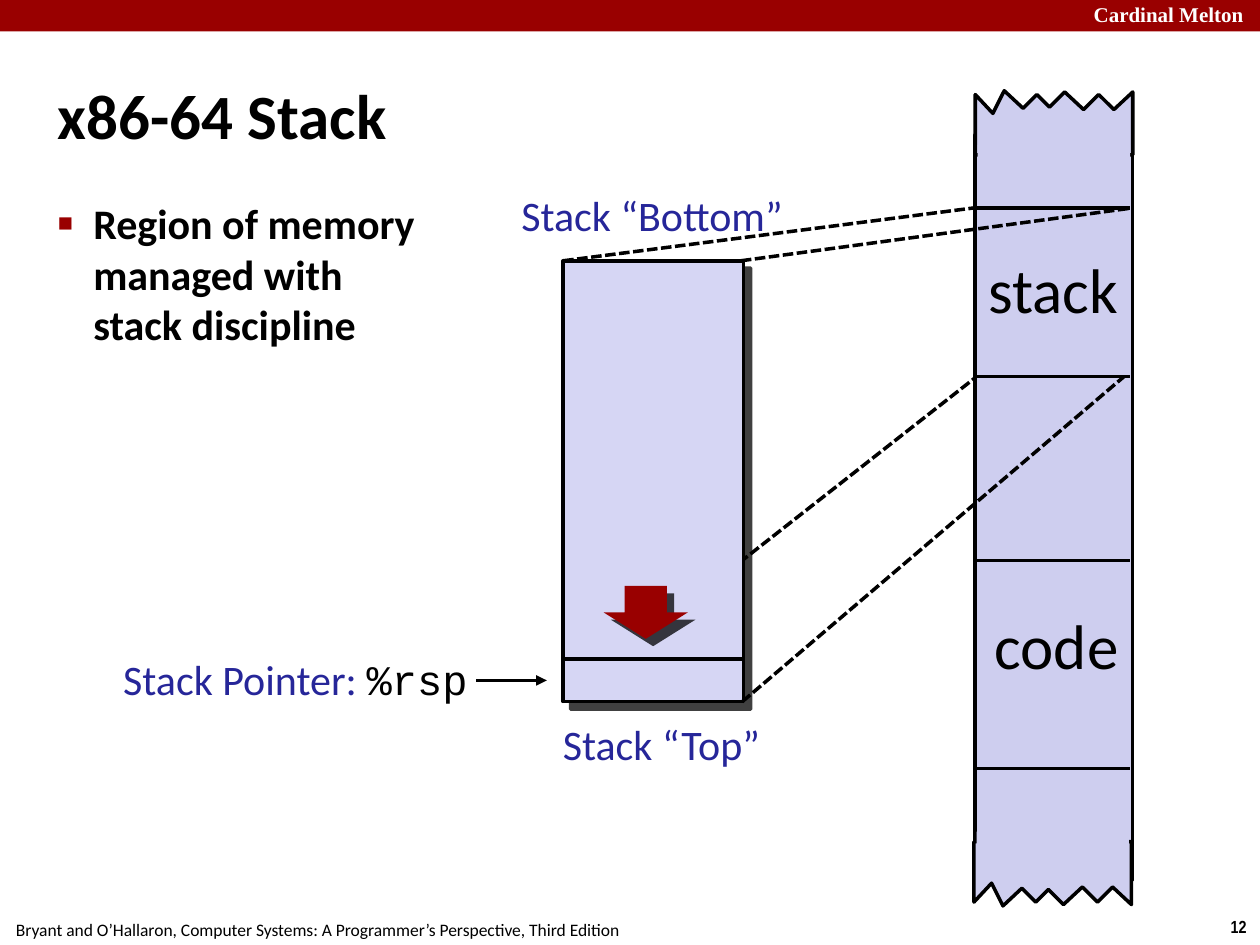
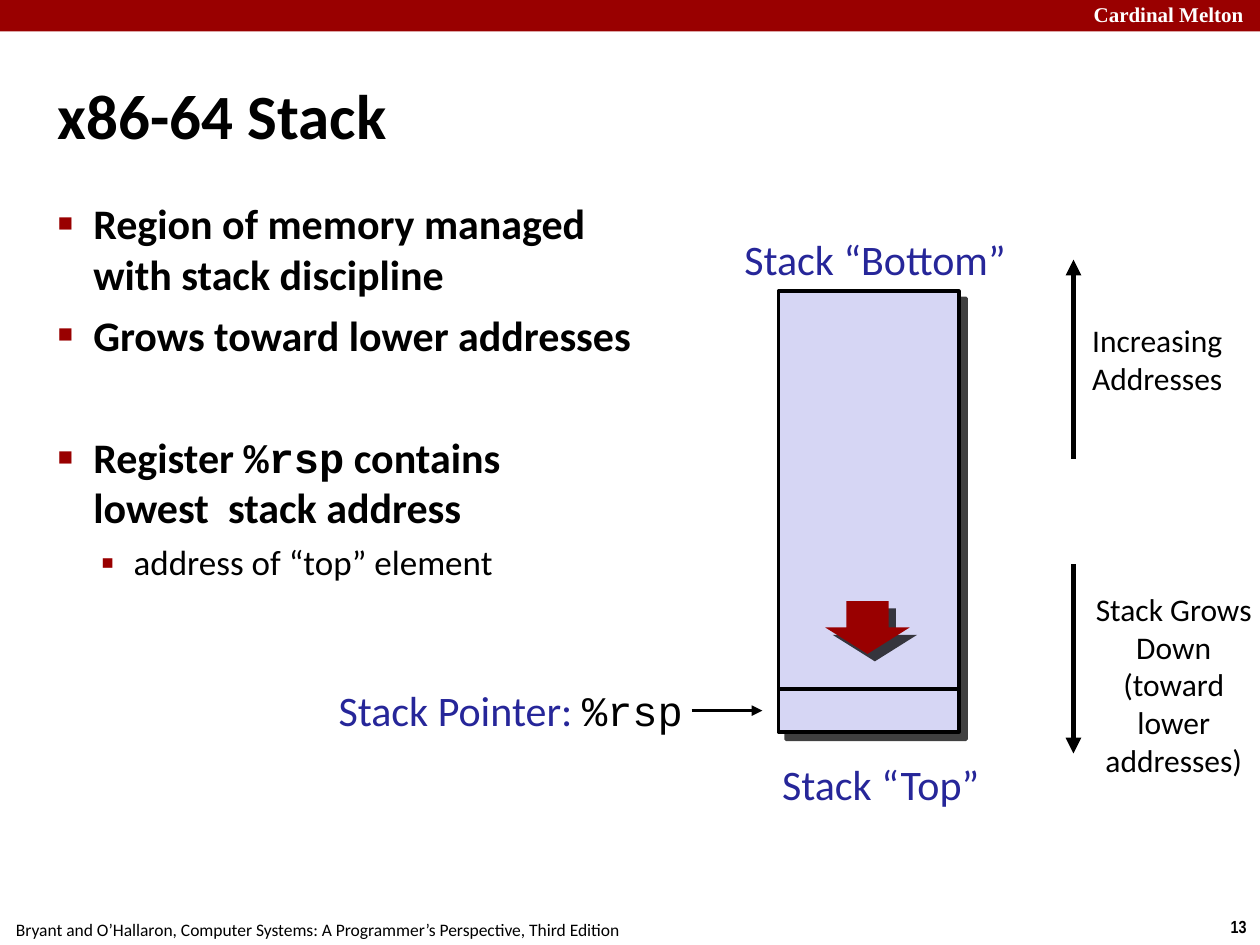
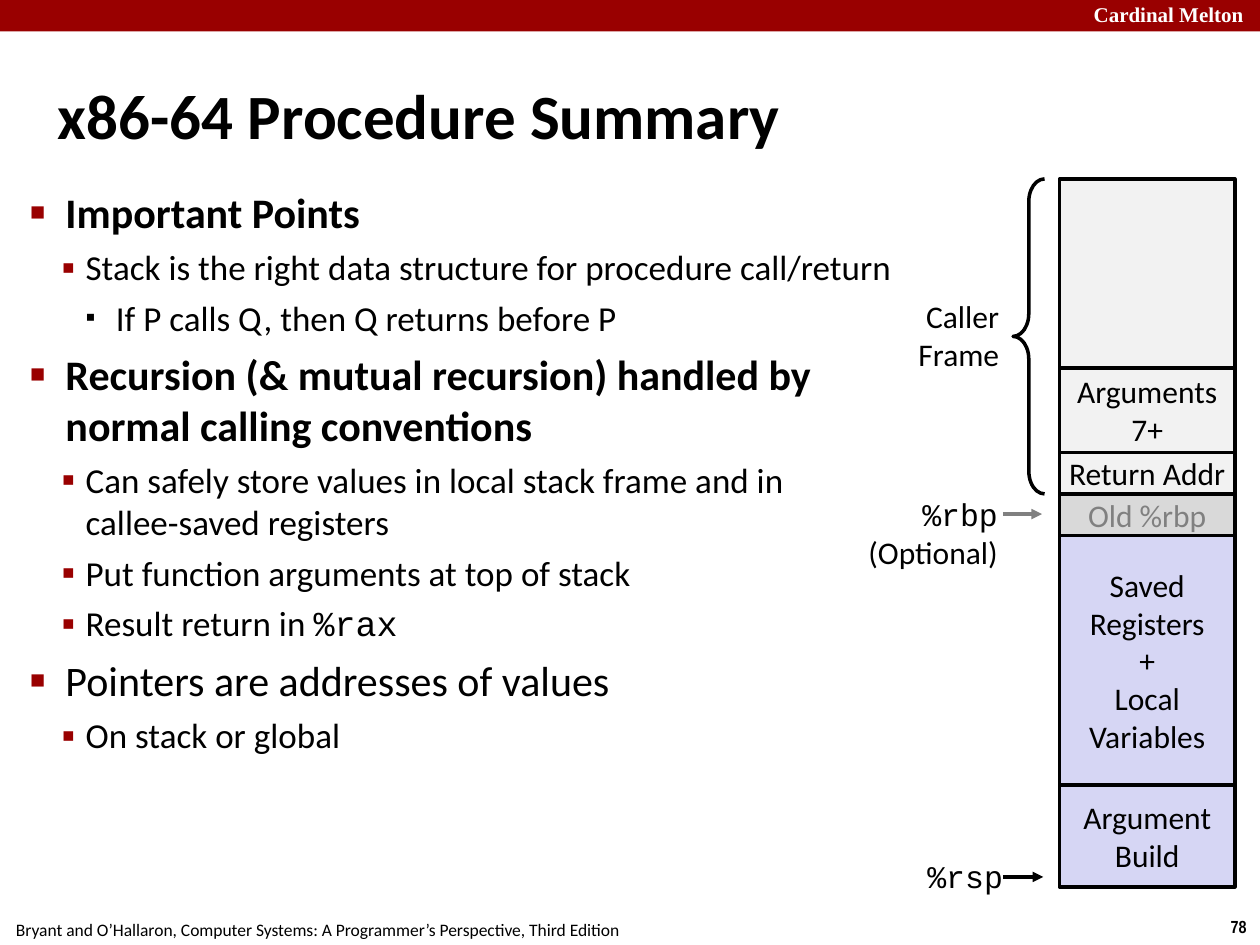
from lxml.etree import SubElement
from pptx import Presentation
from pptx.dml.color import RGBColor
from pptx.enum.dml import MSO_LINE
from pptx.enum.shapes import MSO_CONNECTOR, MSO_SHAPE
from pptx.enum.text import MSO_ANCHOR, MSO_AUTO_SIZE, PP_ALIGN
from pptx.oxml.ns import qn
from pptx.util import Inches, Pt

# Colours
BLACK = RGBColor(0x00, 0x00, 0x00)
WHITE = RGBColor(0xFF, 0xFF, 0xFF)
CRIMSON = RGBColor(0x99, 0x00, 0x00)
NAVY = RGBColor(0x26, 0x26, 0x99)
LAVENDER = RGBColor(0xD6, 0xD6, 0xF4)
MEMORY = RGBColor(0xCE, 0xCE, 0xEF)
PALE_GREY = RGBColor(0xF2, 0xF2, 0xF2)
LIGHT_GREY = RGBColor(0xD9, 0xD9, 0xD9)
GREY = RGBColor(0x80, 0x80, 0x80)

# Text styles
CODE = {"name": "Courier New"}
LABEL = {"size": Pt(24), "color": NAVY}
SMALL = {"size": Pt(18)}
HUGE = {"size": Pt(36)}

# Bullet levels: character, colour, size in percent, space before, text format
LEVELS = [
    ("■", CRIMSON, 60, 6, {"size": Pt(24), "bold": True}),
    ("▪", CRIMSON, 110, 5, {"size": Pt(20)}),
    ("▪", BLACK, 80, 5, {"size": Pt(20)}),
]
WIDE_INDENTS = [(0.28, -0.28), (0.6, -0.26)]
TIGHT_INDENTS = [(0.28, -0.28), (0.44, -0.19), (0.68, -0.24)]

BANNER = "Cardinal Melton"
FOOTER = "Bryant and O’Hallaron, Computer Systems: A Programmer’s Perspective, Third Edition"

# Torn edge of the memory column: distance from its left side and from the seam
TEETH = [(1.25, 0), (1.25, 0.5), (1.1, 0.36), (0.98, 0.48), (0.86, 0.36), (0.71, 0.5),
         (0.59, 0.38), (0.49, 0.48), (0.38, 0.37), (0.23, 0.51), (0.14, 0.33), (0, 0.48)]


def assign(target, values):
    for name, value in values.items():
        setattr(target, name, value)


def write(para, spans, style):
    """Fill a paragraph with a string or (text, format) pairs; a newline breaks the line."""
    for text, changes in [(spans, {})] if isinstance(spans, str) else spans:
        values = {"name": "Calibri", "color": BLACK, **style, **changes}
        color = values.pop("color")
        for index, line in enumerate(text.split("\n")):
            if index:
                para.add_line_break()
            span = para.add_run()
            span.text = line
            assign(span.font, values)
            span.font.color.rgb = color


def prepare(frame, anchor=MSO_ANCHOR.TOP, inset=0.04):
    margins = {f"margin_{side}": Inches(inset) for side in ("left", "top", "right", "bottom")}
    assign(frame, {"word_wrap": True, "auto_size": MSO_AUTO_SIZE.NONE,
                   "vertical_anchor": anchor, **margins})


def fill_lines(frame, lines, style, align):
    for index, spans in enumerate(lines):
        para = frame.add_paragraph() if index else frame.paragraphs[0]
        para.alignment = align
        write(para, spans, style)


def add_text(page, at, lines, style, align=PP_ALIGN.CENTER):
    box = page.shapes.add_textbox(*map(Inches, at))
    prepare(box.text_frame)
    fill_lines(box.text_frame, lines, style, align)


def paint(shape, fill, outline=None, shadow=False):
    shape.shadow.inherit = False
    shape.fill.solid()
    shape.fill.fore_color.rgb = fill
    if outline is None:
        shape.line.fill.background()
    else:
        shape.line.color.rgb = outline
        shape.line.width = Pt(2)
    if shadow:
        effects = shape.element.spPr.find(qn("a:effectLst"))
        outer = SubElement(effects, qn("a:outerShdw"), blurRad="0", dist=str(Pt(6)),
                           dir=str(45 * 60000), algn="ctr", rotWithShape="0")
        color = SubElement(outer, qn("a:srgbClr"), val=str(BLACK))
        SubElement(color, qn("a:alpha"), val="75000")


def add_block(page, at, fill, outline=None, kind=MSO_SHAPE.RECTANGLE, shadow=False):
    block = page.shapes.add_shape(kind, *map(Inches, at))
    paint(block, fill, outline, shadow)
    return block


def add_line(page, start, end, color=BLACK, width=2, dashed=False, arrow=False):
    line = page.shapes.add_connector(MSO_CONNECTOR.STRAIGHT, *map(Inches, (*start, *end)))
    line.line.color.rgb = color
    line.line.width = Pt(width)
    if dashed:
        line.line.dash_style = MSO_LINE.SQUARE_DOT
    properties = line.element.spPr
    if arrow:
        SubElement(properties.find(qn("a:ln")), qn("a:tailEnd"), type="triangle")
    SubElement(properties, qn("a:effectLst"))


def add_bullets(page, at, items, indents):
    """Each item is (level, spans) or (level, spans, format changes, space before)."""
    box = page.shapes.add_textbox(*map(Inches, at))
    frame = box.text_frame
    prepare(frame)
    for index, (level, spans, *extra) in enumerate(items):
        changes, gap = extra or ({}, None)
        mark, color, percent, before, style = LEVELS[level]
        para = frame.add_paragraph() if index else frame.paragraphs[0]
        assign(para, {"level": level, "space_before": Pt(gap or before)})
        write(para, spans, {**style, **changes})
        properties = para._p.get_or_add_pPr()
        for name, length in zip(("marL", "indent"), indents[level]):
            properties.set(name, str(Inches(length)))
        bullet_color = SubElement(properties, qn("a:buClr"))
        SubElement(bullet_color, qn("a:srgbClr"), val=str(color))
        SubElement(properties, qn("a:buSzPct"), val=str(percent * 1000))
        SubElement(properties, qn("a:buFont"), typeface="Arial")
        SubElement(properties, qn("a:buChar"), char=mark)


def add_page(deck, title, number):
    """Title-only page with the shared banner and footer."""
    page = deck.slides.add_slide(deck.slide_layouts[5])
    add_text(page, (9.66, 7.23, 0.34, 0.27), [str(number)],
             {"name": "Arial Narrow", "size": Pt(10), "bold": True})
    add_text(page, (-0.02, 7.25, 5.08, 0.27), [FOOTER], {"size": Pt(10)})
    add_block(page, (0, 0, 10, 0.25), CRIMSON)
    add_text(page, (8.64, -0.03, 1.44, 0.28), [BANNER],
             {"name": "Times New Roman", "size": Pt(12), "color": WHITE, "bold": True},
             PP_ALIGN.LEFT)
    heading = page.shapes.title
    assign(heading, {"left": Inches(0.42), "top": Inches(0.28),
                     "width": Inches(9.17), "height": Inches(1.25)})
    prepare(heading.text_frame, MSO_ANCHOR.MIDDLE)
    fill_lines(heading.text_frame, [title], {**HUGE, "bold": True}, PP_ALIGN.LEFT)
    return page


def add_stack(page, left, top, bottom_label, top_label, growth_arrow):
    """Stack with its pointer; the labels and the arrow are placed by their corners."""
    add_line(page, (left - 0.69, top + 3.33), (left - 0.13, top + 3.33), arrow=True)
    add_text(page, (left - 3.6, top + 3.08, 2.88, 0.5),
             [[("Stack Pointer: ", {}), ("%rsp", {**CODE, "color": BLACK})]],
             LABEL, PP_ALIGN.RIGHT)
    add_block(page, (left, top, 1.43, 3.5), LAVENDER, BLACK, shadow=True)
    add_line(page, (left, top + 3.16), (left + 1.42, top + 3.16))
    add_text(page, (*bottom_label, 2.23, 0.49), ["Stack “Bottom”"], LABEL)
    add_text(page, (*top_label, 1.7, 0.49), ["Stack “Top”"], LABEL)
    add_block(page, (*growth_arrow, 0.67, 0.42), CRIMSON, kind=MSO_SHAPE.DOWN_ARROW, shadow=True)


def add_torn_end(page, left, seam, direction):
    """Torn edge above (-1) or below (1) the seam, with a patch that hides the seam."""
    points = [(Inches(left + x), Inches(seam + direction * y)) for x, y in TEETH]
    builder = page.shapes.build_freeform(Inches(left), Inches(seam))
    builder.add_line_segments(points, close=True)
    paint(builder.convert_to_shape(), MEMORY, BLACK)
    add_block(page, (left + 0.02, seam - 0.08, 1.21, 0.17), MEMORY)


def add_memory(page):
    left, right = 7.74, 8.97
    add_block(page, (left, 1.07, 1.25, 5.92), MEMORY, BLACK)
    add_torn_end(page, left, 1.23, -1)
    add_torn_end(page, left - 0.01, 6.68, 1)
    for y in (1.65, 2.99, 4.45, 6.1):
        add_line(page, (left, y), (right, y))
    add_text(page, (7.79, 4.77, 1.19, 0.71), ["code"], HUGE)
    add_text(page, (7.74, 1.95, 1.24, 0.71), ["stack"], HUGE)


def build_memory_page(deck):
    page = add_page(deck, "x86-64 Stack", 12)
    # Zoom lines that run behind the stack
    add_line(page, (4.47, 2.07), (7.73, 1.65), dashed=True)
    add_line(page, (4.46, 5.57), (7.75, 2.99), dashed=True)
    add_bullets(page, (0.42, 1.53, 4.88, 5.94),
                [(0, "Region of memory\nmanaged with\nstack discipline")], WIDE_INDENTS)
    add_stack(page, 4.47, 2.07, (4.06, 1.46), (4.4, 5.66), (4.79, 4.65))
    add_memory(page)
    # Zoom lines that run over the memory column
    add_line(page, (5.88, 2.07), (8.99, 1.65), dashed=True)
    add_line(page, (5.89, 5.57), (8.92, 2.99), dashed=True)


def build_growth_page(deck):
    page = add_page(deck, "x86-64 Stack", 13)
    add_bullets(page, (0.42, 1.53, 4.88, 5.94), [
        (0, "Region of memory managed with stack discipline"),
        (0, "Grows toward lower addresses"),
        (0, [("Register ", {}), ("%rsp", CODE), (" contains \nlowest  stack address", {})], {}, 41),
        (1, "address of “top” element"),
    ], WIDE_INDENTS)
    add_stack(page, 6.18, 2.31, (5.83, 1.81), (6.14, 5.98), (6.55, 4.77))
    # Address directions
    add_line(page, (8.52, 3.64), (8.52, 2.06), width=3, arrow=True)
    add_text(page, (8.62, 2.51, 1.13, 0.69), ["Increasing", "Addresses"], SMALL)
    add_line(page, (8.52, 4.48), (8.52, 5.98), width=3, arrow=True)
    add_text(page, (8.62, 4.64, 1.39, 2.09),
             ["Stack Grows", "Down", "(toward lower addresses)"], SMALL)


def add_stack_frame(page):
    cells = [
        (1.5, PALE_GREY, BLACK, []),
        (0.67, PALE_GREY, BLACK, ["Arguments", "7+"]),
        (0.33, PALE_GREY, BLACK, ["Return Addr"]),
        (0.33, LIGHT_GREY, GREY, ["Old %rbp"]),
        (1.98, LAVENDER, BLACK, ["Saved", "Registers", "+", "Local", "Variables"]),
        (0.81, LAVENDER, BLACK, ["Argument", "Build"]),
    ]
    top = 1.42
    for height, fill, color, lines in cells:
        cell = add_block(page, (8.41, top, 1.39, height), fill, BLACK)
        prepare(cell.text_frame, MSO_ANCHOR.MIDDLE, 0)
        fill_lines(cell.text_frame, lines, {**SMALL, "color": color}, PP_ALIGN.CENTER)
        top += height


def build_summary_page(deck):
    page = add_page(deck, "x86-64 Procedure Summary", 78)
    add_bullets(page, (0.2, 1.44, 7.13, 5.72), [
        (0, "Important Points"),
        (1, "Stack is the right data structure for procedure call/return"),
        (2, "If P calls Q, then Q returns before P"),
        (0, "Recursion (& mutual recursion) handled by normal calling conventions"),
        (1, "Can safely store values in local stack frame and in \ncallee-saved registers"),
        (1, "Put function arguments at top of stack"),
        (1, [("Result return in ", {}), ("%rax", CODE)]),
        (0, "Pointers are addresses of values", {"bold": False}, 6),
        (1, "On stack or global"),
    ], TIGHT_INDENTS)
    add_stack_frame(page)
    # Caller frame brace
    add_text(page, (7.22, 2.32, 0.75, 0.69), ["Caller", "Frame"], SMALL, PP_ALIGN.RIGHT)
    brace = add_block(page, (8.04, 1.42, 0.25, 2.5), WHITE, BLACK, MSO_SHAPE.LEFT_BRACE)
    brace.fill.background()
    brace.adjustments[0] = 0.72
    # Register pointers
    add_line(page, (7.96, 4.08), (8.27, 4.08), color=GREY, arrow=True)
    add_text(page, (6.25, 3.89, 1.71, 0.36), [[("%rbp", CODE)], "(Optional)"],
             SMALL, PP_ALIGN.RIGHT)
    add_line(page, (7.96, 6.96), (8.28, 6.96), arrow=True)
    add_text(page, (6.38, 6.76, 1.62, 0.36), [[("%rsp", CODE)]], SMALL, PP_ALIGN.RIGHT)


def main():
    deck = Presentation()
    assign(deck, {"slide_width": Inches(10), "slide_height": Inches(7.5)})
    build_memory_page(deck)
    build_growth_page(deck)
    build_summary_page(deck)
    deck.save("out.pptx")


if __name__ == "__main__":
    main()
